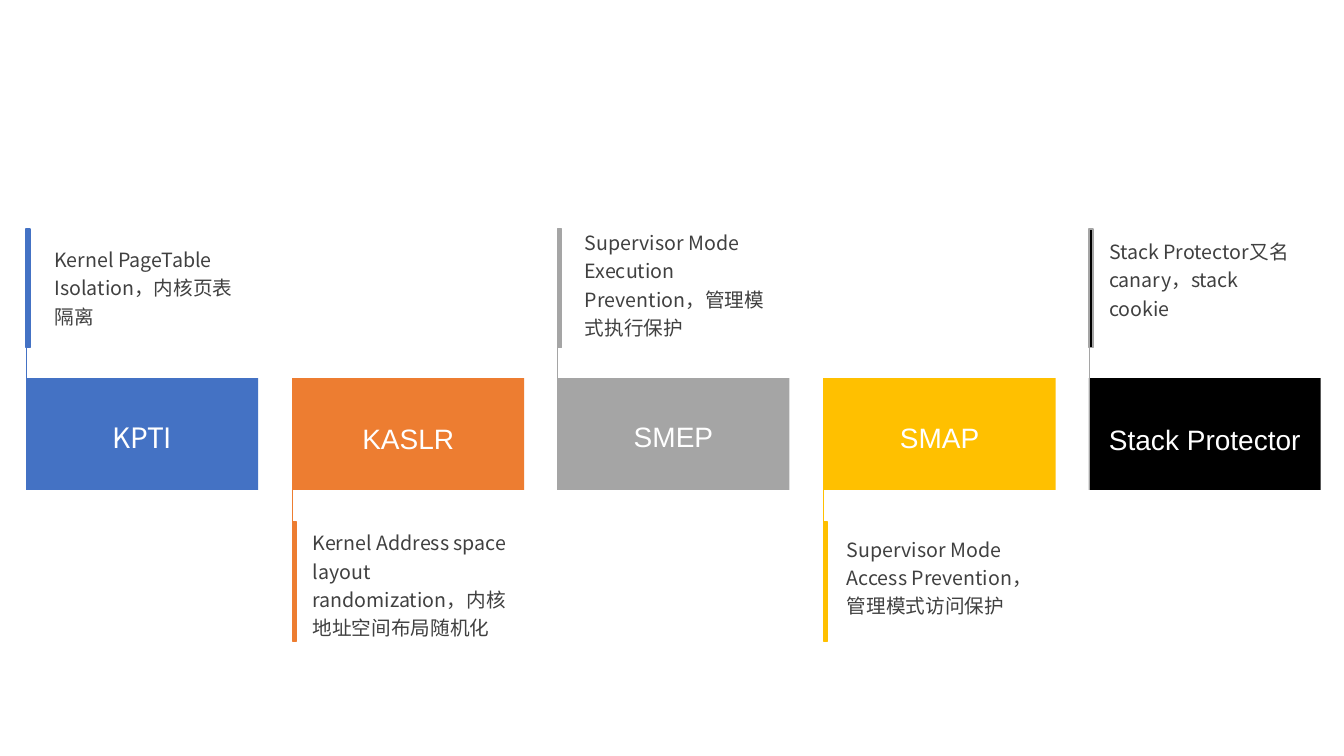
from dataclasses import dataclass

from lxml import etree
from pptx import Presentation
from pptx.dml.color import RGBColor
from pptx.enum.shapes import MSO_CONNECTOR, MSO_SHAPE
from pptx.enum.text import MSO_ANCHOR, MSO_AUTO_SIZE, PP_ALIGN
from pptx.oxml.ns import qn
from pptx.util import Emu, Pt

RECT, STRAIGHT = MSO_SHAPE.RECTANGLE, MSO_CONNECTOR.STRAIGHT
TOP, MIDDLE = MSO_ANCHOR.TOP, MSO_ANCHOR.MIDDLE
FIT, FIXED = MSO_AUTO_SIZE.SHAPE_TO_FIT_TEXT, MSO_AUTO_SIZE.NONE
LEFT, CENTER = PP_ALIGN.LEFT, PP_ALIGN.CENTER

PX = 9144  # 100 px to the inch
SLIDE_W, SLIDE_H = 1333, 750
FIRST_X, PITCH = 26, 263.6
BOX_Y, BOX_W, BOX_H = 375, 230, 111
LABEL_DX, LABEL_W = 10, 210
BAR_W, BAR_H, BAR_ABOVE_Y, BAR_BELOW_Y = 4, 118, 227, 518


@dataclass(frozen=True)
class Theme:
    blue: str = "4472C4"
    orange: str = "ED7D31"
    gray: str = "A5A5A5"
    gold: str = "FFC000"
    black: str = "000000"
    white: str = "FFFFFF"
    body: str = "404040"
    sans: str = "Arial"
    cjk: str = "Noto Sans CJK SC"
    label_pt: int = 20
    note_pt: int = 14
    stem_pt: float = 0.5
    bar_pt: float = 1


THEME = Theme()


@dataclass(frozen=True)
class Defence:
    """One column; label is (top, height), note is (left, top, width, height)."""
    name: str
    text: str
    fill: str
    edge: str
    label: tuple
    note: tuple
    anchor: int = TOP
    font: str = THEME.sans
    space_before: int = 10


DEFENCES = [
    Defence("KPTI", "Kernel PageTable Isolation，内核页表隔离",
            THEME.blue, THEME.blue, (409, 43), (54, 226, 196, 115),
            MIDDLE, THEME.cjk, 0),
    Defence("KASLR", "Kernel Address space layout randomization，内核地址空间布局随机化",
            THEME.orange, THEME.orange, (407, 48), (310, 525, 209, 107)),
    Defence("SMEP", "Supervisor Mode Execution Prevention，管理模式执行保护",
            THEME.gray, THEME.gray, (408, 43), (580, 226, 192, 109), MIDDLE),
    Defence("SMAP", "Supervisor Mode Access Prevention，管理模式访问保护",
            THEME.gold, THEME.gold, (406, 48), (840, 525, 198, 92)),
    Defence("Stack Protector", "Stack Protector又名canary，stack cookie",
            THEME.black, THEME.gray, (408, 48), (1100, 226, 183, 99)),
]


def px(*lengths):
    return [Emu(round(n * PX)) for n in lengths]


def set_all(obj, values):
    for name, value in values.items():
        setattr(obj, name, value)


def add_rect(s, area, fill, edge=None):
    sp = s.shapes.add_shape(RECT, *px(*area))
    sp.shadow.inherit = False
    sp.fill.solid()
    sp.fill.fore_color.rgb = RGBColor.from_string(fill)
    if edge:
        sp.line.color.rgb = RGBColor.from_string(edge)
        sp.line.width = Pt(THEME.bar_pt)
    else:
        sp.line.fill.background()


def add_stem(s, x, y1, y2, color):
    line = s.shapes.add_connector(STRAIGHT, *px(x, y1, x, y2))
    line.line.color.rgb = RGBColor.from_string(color)
    line.line.width = Pt(THEME.stem_pt)
    etree.SubElement(line._element.spPr, qn("a:effectLst"))


def add_text(s, area, text, frame, para, font, color):
    """Add a text box; frame, para and font are dicts of format values."""
    tf = s.shapes.add_textbox(*px(*area)).text_frame
    set_all(tf, {"word_wrap": True, **frame})
    p = tf.paragraphs[0]
    set_all(p, {"line_spacing": 1.2, **para})
    r = p.add_run()
    r.text = text
    set_all(r.font, font)
    r.font.color.rgb = RGBColor.from_string(color)
    east_asian = etree.SubElement(r._r.get_or_add_rPr(), qn("a:ea"))
    east_asian.set("typeface", THEME.cjk)


def add_label(s, x, d):
    top, height = d.label
    frame = {"vertical_anchor": d.anchor,
             "auto_size": FIT if d.anchor == TOP else FIXED}
    para = {"alignment": CENTER, "space_before": Pt(d.space_before)}
    font = {"name": d.font, "size": Pt(THEME.label_pt)}
    add_text(s, (x + LABEL_DX, top, LABEL_W, height), d.name,
             frame, para, font, THEME.white)


def add_note(s, d):
    side, end = px(0, 11)
    frame = {"vertical_anchor": MIDDLE, "auto_size": FIXED,
             "margin_left": side, "margin_right": side,
             "margin_top": end, "margin_bottom": end}
    font = {"name": THEME.cjk, "size": Pt(THEME.note_pt)}
    add_text(s, d.note, d.text, frame, {"alignment": LEFT}, font, THEME.body)


def add_defence(s, i, d):
    """Draw one column; notes alternate above and below the row of boxes."""
    x = round(FIRST_X + i * PITCH)
    add_rect(s, (x, BOX_Y, BOX_W, BOX_H), d.fill)
    add_label(s, x, d)
    if i % 2 == 0:
        bar_y = BAR_ABOVE_Y
        add_stem(s, x, bar_y, BOX_Y + BOX_H, d.edge)
    else:
        bar_y = BAR_BELOW_Y
        add_stem(s, x, bar_y + BAR_H, BOX_Y, d.edge)
    add_rect(s, (x, bar_y, BAR_W, BAR_H), d.fill, d.edge)
    add_note(s, d)


def main():
    prs = Presentation()
    prs.slide_width, prs.slide_height = px(SLIDE_W, SLIDE_H)
    s = prs.slides.add_slide(prs.slide_layouts[6])
    for i, d in enumerate(DEFENCES):
        add_defence(s, i, d)
    prs.save("out.pptx")


if __name__ == "__main__":
    main()
